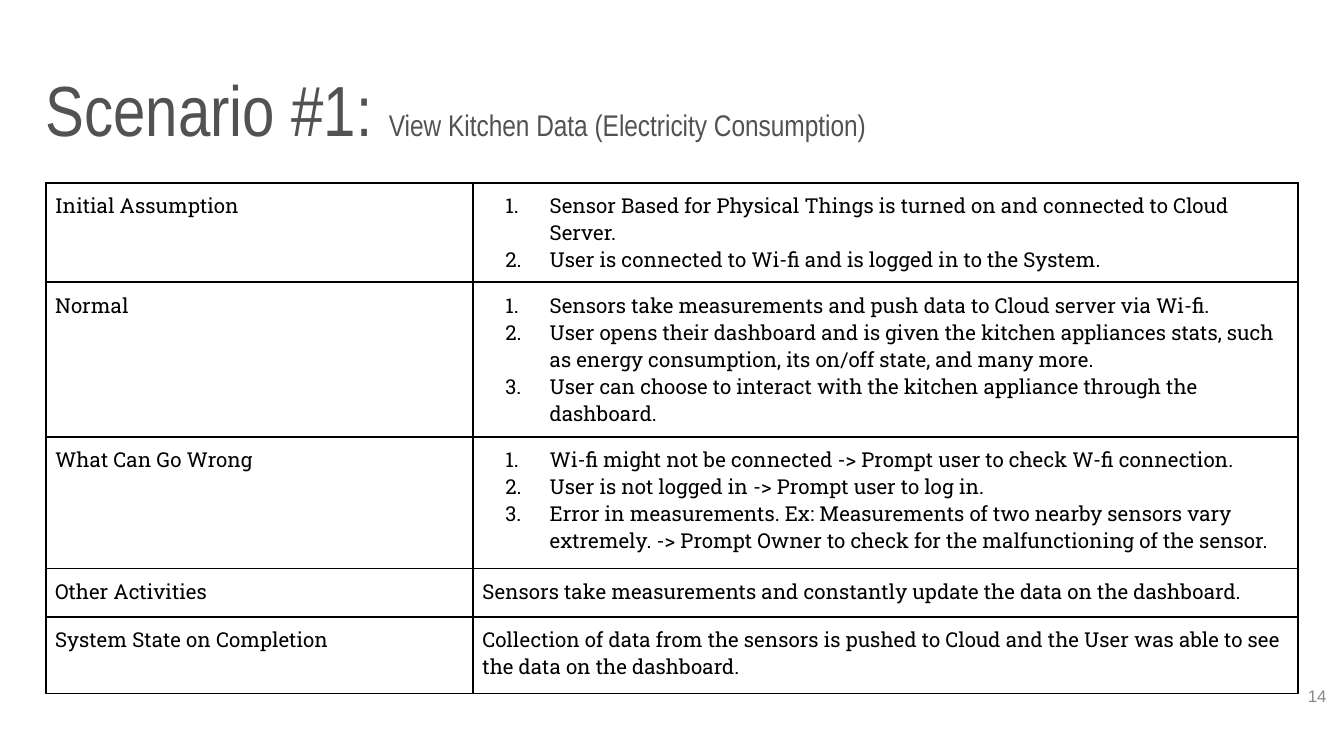
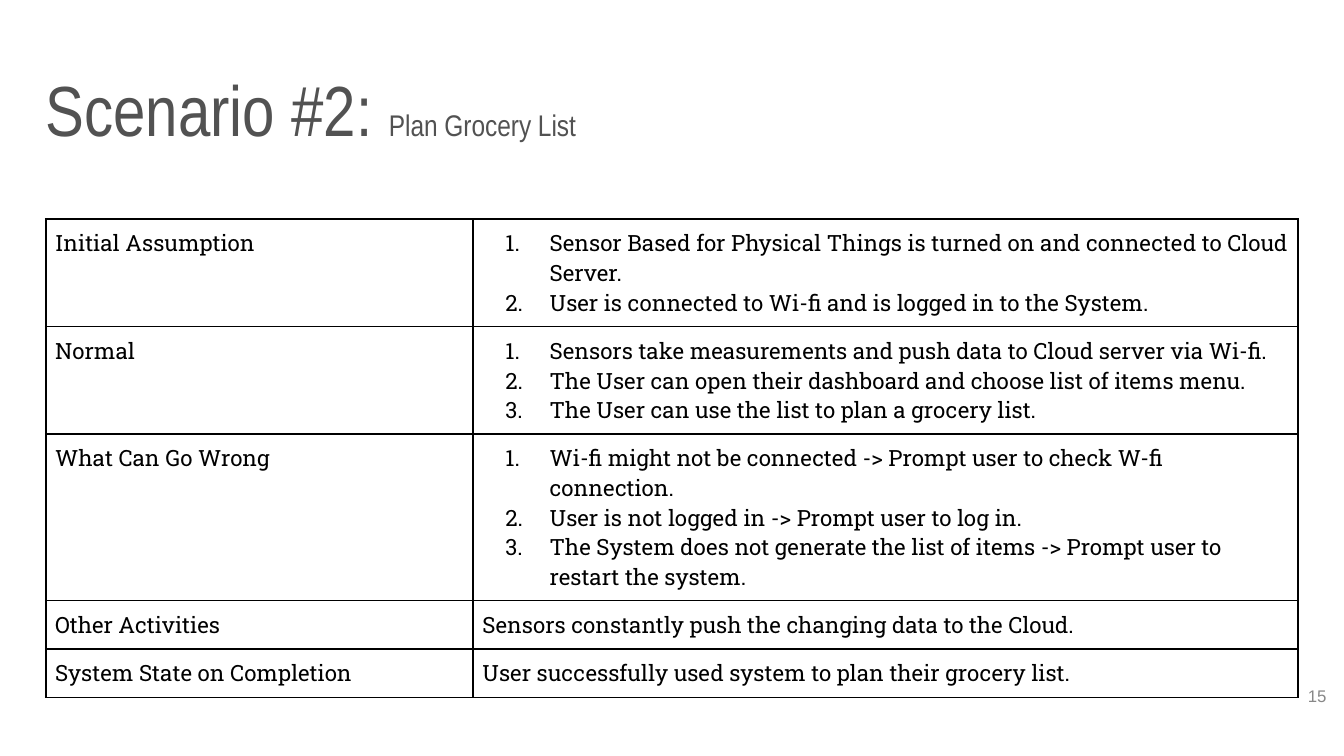
from lxml import etree
from pptx import Presentation
from pptx.dml.color import RGBColor
from pptx.enum.text import MSO_ANCHOR, PP_ALIGN
from pptx.oxml.ns import qn
from pptx.util import Inches, Pt

LEFT, RIGHT = PP_ALIGN.LEFT, PP_ALIGN.RIGHT
TOP, BOTTOM = MSO_ANCHOR.TOP, MSO_ANCHOR.BOTTOM

COLORS = {"title": "525252", "body": "000000", "border": "000000", "number": "888888", "page": "FFFFFF"}
TITLE_FONT, BODY_FONT, NUMBER_FONT = "Arial Narrow", "Roboto Slab", "Arial"
COLUMN_WIDTHS = (3.18, 6.14)
ROW_LABELS = ("Initial Assumption", "Normal", "What Can Go Wrong",
              "Other Activities", "System State on Completion")

# Steps that both scenarios share
ASSUMPTIONS = [
    "Sensor Based for Physical Things is turned on and connected to Cloud Server.",
    "User is connected to Wi-fi and is logged in to the System.",
]
MEASURE = "Sensors take measurements and push data to Cloud server via Wi-fi."
COMMON_FAULTS = [
    "Wi-fi might not be connected -> Prompt user to check W-fi connection.",
    "User is not logged in -> Prompt user to log in.",
]

# A list is numbered, a plain string is not
SCENARIOS = [
    {
        "heading": "Scenario #1: ",
        "subject": "View Kitchen Data (Electricity Consumption)",
        "number": 14, "top": 1.36, "size": 11,
        "heights": (0.74, 1.15, 0.98, 0.36, 0.57),
        "details": [
            ASSUMPTIONS,
            [MEASURE,
             "User opens their dashboard and is given the kitchen appliances stats, such as "
             "energy consumption, its on/off state, and many more.",
             "User can choose to interact with the kitchen appliance through the dashboard."],
            COMMON_FAULTS + [
                "Error in measurements. Ex: Measurements of two nearby sensors vary extremely. "
                "-> Prompt Owner to check for the malfunctioning of the sensor."],
            "Sensors take measurements and constantly update the data on the dashboard.",
            "Collection of data from the sensors is pushed to Cloud and the User was able to "
            "see the data on the dashboard.",
        ],
    },
    {
        "heading": "Scenario #2: ",
        "subject": "Plan Grocery List",
        "number": 15, "top": 1.63, "size": 12,
        "heights": (0.8, 0.8, 1.24, 0.36, 0.36),
        "details": [
            ASSUMPTIONS,
            [MEASURE,
             "The User can open their dashboard and choose list of items menu.",
             "The User can use the list to plan a grocery list."],
            COMMON_FAULTS + [
                "The System does not generate the list of items -> Prompt user to restart "
                "the system."],
            "Sensors constantly push the changing data to the Cloud.",
            "User successfully used system to plan their grocery list.",
        ],
    },
]


def write(para, text, *, size, font, color, align=LEFT):
    """Append one formatted run to a paragraph."""
    para.alignment = align
    span = para.add_run()
    span.text = text
    span.font.size = Pt(size)
    span.font.name = font
    span.font.color.rgb = RGBColor.from_string(COLORS[color])


def number_paragraph(para):
    properties = para._p.get_or_add_pPr()
    properties.set("marL", str(Inches(0.5)))
    properties.set("indent", str(Inches(-0.33)))
    color = etree.SubElement(properties, qn("a:buClr"))
    etree.SubElement(color, qn("a:srgbClr"), val=COLORS["body"])
    etree.SubElement(properties, qn("a:buAutoNum"), type="arabicPeriod")


def draw_borders(cell):
    properties = cell._tc.get_or_add_tcPr()
    for index, side in enumerate(("a:lnL", "a:lnR", "a:lnT", "a:lnB")):
        line = etree.Element(qn(side), w=str(Pt(1)))
        fill = etree.SubElement(line, qn("a:solidFill"))
        etree.SubElement(fill, qn("a:srgbClr"), val=COLORS["border"])
        properties.insert(index, line)


class ScenarioDeck:
    def __init__(self):
        self.deck = Presentation()
        # Widescreen, 16 to 9
        self.deck.slide_width = Inches(10)
        self.deck.slide_height = Inches(10) * 9 // 16
        self.page = None

    def add_page(self):
        self.page = self.deck.slides.add_slide(self.deck.slide_layouts[6])
        fill = self.page.background.fill
        fill.solid()
        fill.fore_color.rgb = RGBColor.from_string(COLORS["page"])

    def add_box(self, left, top, width, height, anchor=TOP):
        box = self.page.shapes.add_textbox(*map(Inches, (left, top, width, height)))
        frame = box.text_frame
        frame.word_wrap = True
        frame.vertical_anchor = anchor
        frame.margin_left = frame.margin_right = frame.margin_top = frame.margin_bottom = 0
        return frame.paragraphs[0]

    def add_title(self, heading, subject):
        para = self.add_box(0.34, 0.49, 9.32, 0.63, BOTTOM)
        for text, size in ((heading, 38), (subject, 16)):
            write(para, text, size=size, font=TITLE_FONT, color="title")

    def add_number(self, number):
        para = self.add_box(9.27, 5.1, 0.6, 0.43)
        write(para, str(number), size=9, font=NUMBER_FONT, color="number", align=RIGHT)

    def fill_cell(self, cell, content, size):
        cell.fill.background()
        draw_borders(cell)
        cell.margin_left = cell.margin_right = cell.margin_top = cell.margin_bottom = Inches(0.07)
        numbered = isinstance(content, list)
        frame = cell.text_frame
        for index, text in enumerate(content if numbered else [content]):
            para = frame.add_paragraph() if index else frame.paragraphs[0]
            if numbered:
                number_paragraph(para)
            write(para, text, size=size, font=BODY_FONT, color="body")

    def add_table(self, top, heights, details, size):
        table = self.page.shapes.add_table(
            len(heights), len(COLUMN_WIDTHS), Inches(0.34), Inches(top),
            Inches(sum(COLUMN_WIDTHS)), Inches(sum(heights))).table
        table.first_row = table.horz_banding = False
        for column, width in zip(table.columns, COLUMN_WIDTHS):
            column.width = Inches(width)
        for row, height, contents in zip(table.rows, heights, zip(ROW_LABELS, details)):
            row.height = Inches(height)
            for cell, content in zip(row.cells, contents):
                self.fill_cell(cell, content, size)


def main():
    builder = ScenarioDeck()
    for scenario in SCENARIOS:
        builder.add_page()
        builder.add_title(scenario["heading"], scenario["subject"])
        builder.add_table(scenario["top"], scenario["heights"], scenario["details"], scenario["size"])
        builder.add_number(scenario["number"])
    builder.deck.save("out.pptx")


if __name__ == "__main__":
    main()
